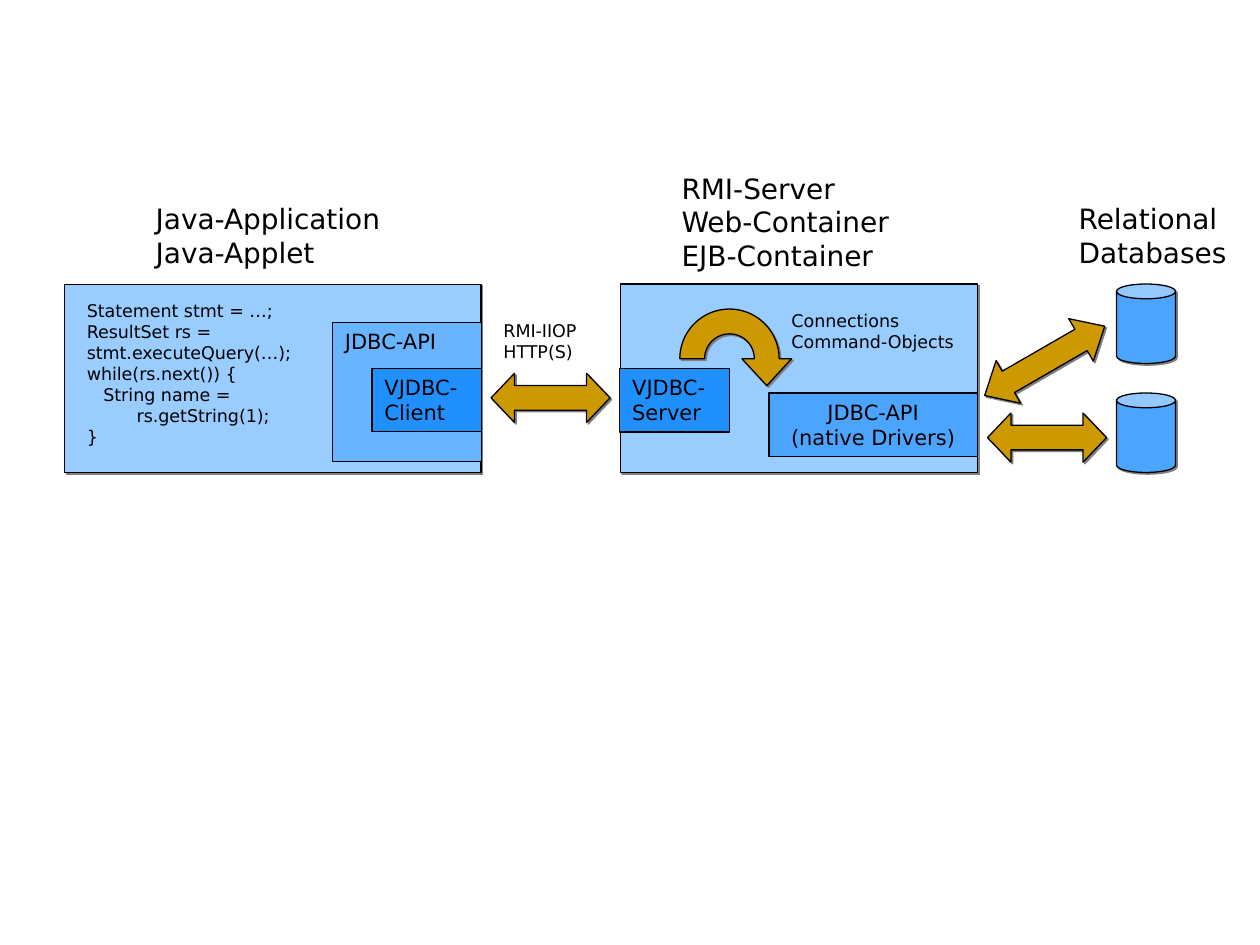
from math import cos, pi, sin

from lxml import etree
from pptx import Presentation
from pptx.dml.color import RGBColor
from pptx.enum.shapes import MSO_SHAPE
from pptx.enum.text import MSO_ANCHOR, PP_ALIGN
from pptx.oxml.ns import qn
from pptx.util import Pt

RECTANGLE = MSO_SHAPE.RECTANGLE
CAN = MSO_SHAPE.CAN
DOUBLE_ARROW = MSO_SHAPE.LEFT_RIGHT_ARROW
LEFT, CENTER = PP_ALIGN.LEFT, PP_ALIGN.CENTER
TOP = MSO_ANCHOR.TOP

BLACK = RGBColor(0x00, 0x00, 0x00)
PALE_BLUE = RGBColor(0x99, 0xCC, 0xFF)
LIGHT_BLUE = RGBColor(0x69, 0xB4, 0xFF)
MEDIUM_BLUE = RGBColor(0x4B, 0xA5, 0xFF)
STRONG_BLUE = RGBColor(0x21, 0x90, 0xFF)
GOLD = RGBColor(0xCC, 0x99, 0x00)
SHADOW_GRAY = RGBColor(0x80, 0x80, 0x80)

CODE = """Statement stmt = …;
ResultSet rs =
stmt.executeQuery(…);
while(rs.next()) {
   String name =
         rs.getString(1);
}"""


def write_text(frame, text, size=12, align=LEFT):
    """Fill a text frame with one paragraph; newlines become line breaks."""
    frame.word_wrap = True
    frame.vertical_anchor = TOP
    frame.margin_left = frame.margin_right = Pt(7.2)
    frame.margin_top = frame.margin_bottom = Pt(3.6)
    paragraph = frame.paragraphs[0]
    paragraph.alignment = align
    for index, line in enumerate(text.split("\n")):
        if index:
            paragraph.add_line_break()
        run = paragraph.add_run()
        run.text = line
        run.font.name = DiagramSlide.FONT
        run.font.size = Pt(size)
        run.font.color.rgb = BLACK


class DiagramSlide:
    FONT = "DejaVu Sans"
    LINE_WIDTH = 0.75
    SHADOW_DISTANCE = 1.4

    def __init__(self, presentation):
        self.slide = presentation.slides.add_slide(presentation.slide_layouts[6])
        self.shapes = self.slide.shapes

    def style(self, shape, fill, shadow):
        shape.fill.solid()
        shape.fill.fore_color.rgb = fill
        shape.line.color.rgb = BLACK
        shape.line.width = Pt(self.LINE_WIDTH)
        shape.shadow.inherit = False
        if shadow:
            effects = shape._element.spPr.find(qn("a:effectLst"))
            outer = etree.SubElement(
                effects, qn("a:outerShdw"), blurRad="0",
                dist=str(Pt(self.SHADOW_DISTANCE)), dir=str(45 * 60000),
                algn="ctr", rotWithShape="0")
            etree.SubElement(outer, qn("a:srgbClr"), val=str(SHADOW_GRAY))

    def preset(self, kind, left, top, width, height, fill, shadow=True):
        shape = self.shapes.add_shape(kind, Pt(left), Pt(top), Pt(width), Pt(height))
        self.style(shape, fill, shadow)
        return shape

    def box(self, text, left, top, width, height, fill, align=LEFT):
        shape = self.preset(RECTANGLE, left, top, width, height, fill, shadow=False)
        write_text(shape.text_frame, text, align=align)

    def label(self, text, left, top, width, height, size):
        text_box = self.shapes.add_textbox(Pt(left), Pt(top), Pt(width), Pt(height))
        write_text(text_box.text_frame, text, size=size)

    def database(self, left, top):
        self.preset(CAN, left, top, 33.8, 45.4, MEDIUM_BLUE)

    def double_arrow(self, left, top, width, head=0.477, rotation=0):
        shape = self.preset(DOUBLE_ARROW, left, top, width, 28.1, GOLD)
        shape.adjustments[0] = 0.5
        shape.adjustments[1] = head
        shape.rotation = rotation

    def curved_arrow(self, center_x, center_y, outer, inner, head_height, steps=36):
        """Draw a half ring over the centre, with a head pointing down at its right."""
        def arc(radius, angles):
            return [(center_x + radius * cos(angle), center_y - radius * sin(angle))
                    for angle in angles]

        angles = [pi * step / steps for step in range(steps + 1)]
        overhang = (outer - inner) / 2
        head = [(center_x + outer + overhang, center_y),
                (center_x + (outer + inner) / 2, center_y + head_height),
                (center_x + inner - overhang, center_y)]
        outline = arc(inner, angles) + arc(outer, reversed(angles)) + head
        points = [(Pt(x), Pt(y)) for x, y in outline]
        builder = self.shapes.build_freeform(*points[0], scale=1.0)
        builder.add_line_segments(points[1:], close=True)
        self.style(builder.convert_to_shape(), GOLD, shadow=True)


def main():
    presentation = Presentation()
    presentation.slide_width = Pt(720)
    presentation.slide_height = Pt(540)
    diagram = DiagramSlide(presentation)

    # Client side
    diagram.preset(RECTANGLE, 36.9, 162.5, 238, 107.5, PALE_BLUE)
    diagram.box("JDBC-API", 190, 184.2, 85, 79.4, LIGHT_BLUE)
    diagram.label("Java-Application\nJava-Applet", 81.9, 111.6, 147.6, 46.1, 16)
    diagram.label(CODE, 42.5, 167.9, 142, 91.4, 10)
    diagram.box("VJDBC-\nClient", 212.6, 210.6, 62.4, 36, STRONG_BLUE)

    # Server side
    diagram.preset(RECTANGLE, 354.4, 162.3, 204.3, 107.7, PALE_BLUE)
    diagram.box("JDBC-API\n(native Drivers)", 439.4, 224.6, 119.1, 36.2,
                MEDIUM_BLUE, align=CENTER)
    diagram.label("RMI-Server\nWeb-Container\nEJB-Container",
                  382.4, 94.4, 153.4, 64.8, 16)
    diagram.box("VJDBC-\nServer", 354.2, 210.6, 62.6, 36.2, STRONG_BLUE)
    diagram.curved_arrow(416.9, 205, outer=28.4, inner=14.2, head_height=15.4)
    diagram.label("Connections\nCommand-Objects", 445.2, 173.6, 113, 31.7, 10)

    # Connection between client and server
    diagram.double_arrow(280.6, 213.3, 68)
    diagram.label("RMI-IIOP\nHTTP(S)", 280.6, 179.3, 62.6, 31.7, 10)

    # Databases
    diagram.label("Relational\nDatabases", 609.3, 111.6, 102.2, 46.1, 16)
    for top in (162.3, 224.6):
        diagram.database(638, top)
    diagram.double_arrow(564.3, 236, 68)
    diagram.double_arrow(557.4, 192.2, 79.2, head=0.557, rotation=330)

    presentation.save("out.pptx")


if __name__ == "__main__":
    main()
